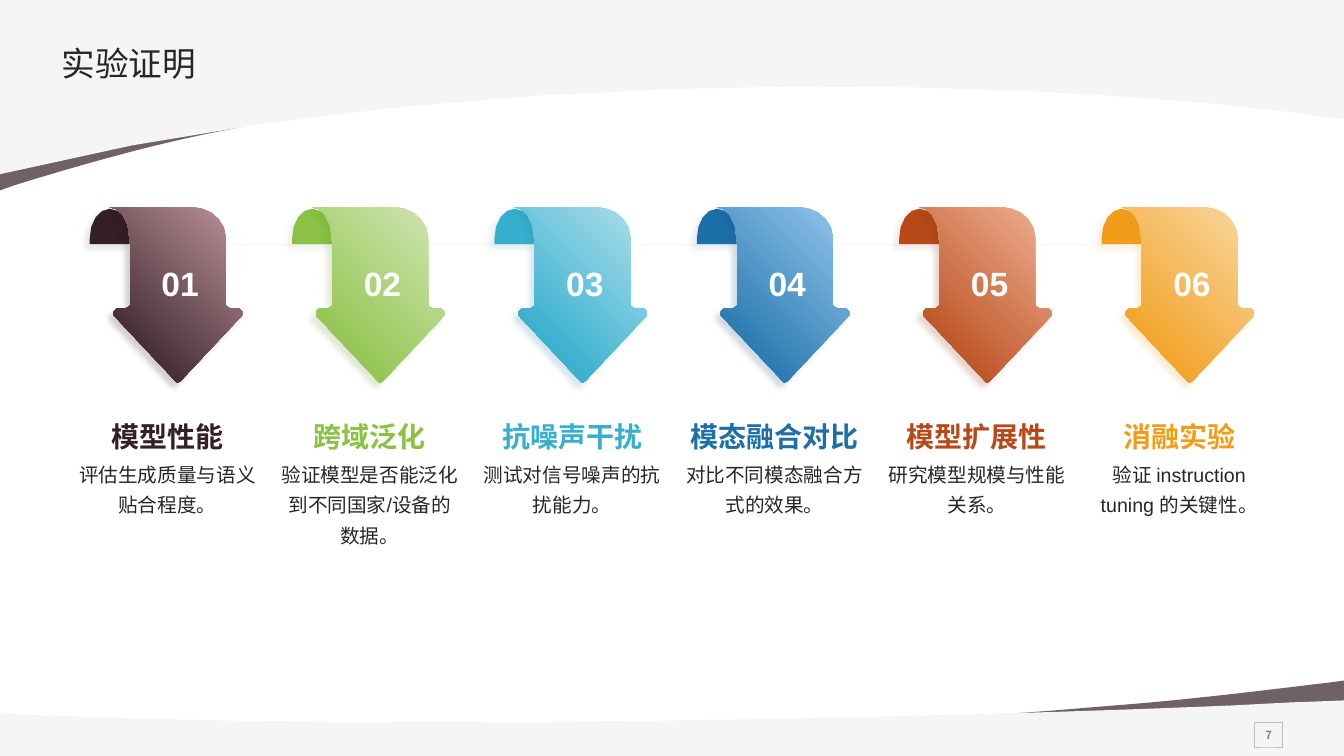
from lxml import etree
from pptx import Presentation
from pptx import util as u
from pptx.dml.color import RGBColor
from pptx.enum import shapes, text
from pptx.oxml.ns import qn

hue = RGBColor.from_string
CJK = "Noto Sans CJK SC"
LEFT, CENTER = text.PP_ALIGN.LEFT, text.PP_ALIGN.CENTER
TOP, MIDDLE, BOTTOM = text.MSO_ANCHOR.TOP, text.MSO_ANCHOR.MIDDLE, text.MSO_ANCHOR.BOTTOM


def write(shape, words, size, color, font="Arial", bold=False, align=CENTER,
          anchor=TOP, inset=(0, 0, 0, 0), wrap=True, spacing=1.0):
    """Fill a shape with one paragraph; inset is left, top, right, bottom in cm."""
    frame = shape.text_frame
    frame.word_wrap = wrap
    frame.auto_size = text.MSO_AUTO_SIZE.NONE
    frame.vertical_anchor = anchor
    (frame.margin_left, frame.margin_top,
     frame.margin_right, frame.margin_bottom) = [u.Cm(side) for side in inset]
    para = frame.paragraphs[0]
    para.alignment = align
    para.line_spacing = spacing
    span = para.add_run()
    span.text = words
    span.font.size = u.Pt(size)
    span.font.bold = bold
    span.font.color.rgb = hue(color)
    span.font.name = font
    etree.SubElement(span.font._element, qn("a:ea"), typeface=CJK)


def outline(path, color, shift=0, alpha=100, shadow=None, strength=0):
    """Draw a closed shape in cm: pairs are corners, sixes are Bézier curves."""
    points = []
    for step in path:
        if len(step) == 2:
            points.append(step)
            continue
        ends = [points[-1], step[:2], step[2:4], step[4:]]
        reach = max(abs(step[4] - ends[0][0]), abs(step[5] - ends[0][1]))
        count = 12 if reach > 3 else 4 if reach > 0.25 else 1
        for i in range(1, count + 1):
            t = i / count
            weights = ((1 - t) ** 3, 3 * t * (1 - t) ** 2, 3 * t * t * (1 - t), t ** 3)
            points.append([sum(w * end[axis] for w, end in zip(weights, ends))
                           for axis in (0, 1)])
    corners = [(u.Cm(x + shift), u.Cm(y)) for x, y in points]
    builder = page.shapes.build_freeform(*corners[0])
    builder.add_line_segments(corners[1:], close=True)
    shape = builder.convert_to_shape()
    shape.fill.solid()
    shape.fill.fore_color.rgb = hue(color)
    shape.line.fill.background()
    shape.shadow.inherit = False
    props = shape._element.spPr
    if alpha < 100:
        etree.SubElement(props.find(".//" + qn("a:srgbClr")), qn("a:alpha"), val=str(alpha * 1000))
    if shadow:
        cast = etree.SubElement(props.find(qn("a:effectLst")), qn("a:outerShdw"),
                                blurRad=str(u.Pt(4)), dist=str(u.Pt(5)), dir="8100000",
                                algn="tr", rotWithShape="0")
        tint = etree.SubElement(cast, qn("a:srgbClr"), val=shadow)
        etree.SubElement(tint, qn("a:alpha"), val=str(strength * 1000))
    return shape


deck = Presentation()
deck.slide_width, deck.slide_height = u.Cm(33.87), u.Cm(19.05)
page = deck.slides.add_slide(deck.slide_layouts[5])

# Curved bands at the top and bottom
outline([(0, 4.8), (0, 0.56), (33.87, 0.56), (33.87, 2.31),
         (26.21, 0.15, 13.06, 1.7, 5.44, 3.33), (3.91, 3.63, 2.18, 4.11, 0.36, 4.67)],
        "341F24", alpha=70)
outline([(0, 0), (33.87, 0), (33.87, 3.02), (28.96, 2.21, 13.13, 1.14, 0, 4.39)], "F5F5F5")
outline([(33.87, 17.15), (33.87, 18.9), (0, 18.9), (0, 18.16),
         (7.65, 19.05, 20.83, 18.42, 28.42, 17.75), (29.95, 17.63, 31.67, 17.42, 33.5, 17.2)],
        "341F24", alpha=70)
outline([(33.87, 17.65), (33.87, 19.05), (0, 19.05), (0, 17.98), (1.12, 18.03),
         (9.96, 18.39, 23.11, 18.11, 30.99, 17.78), (31.65, 17.75, 32.39, 17.7, 33.12, 17.68)],
        "F5F5F5")

number_box = page.shapes.add_shape(shapes.MSO_SHAPE.RECTANGLE, u.Cm(31.62), u.Cm(18.21),
                                   u.Cm(0.71), u.Cm(0.64))
number_box.fill.background()
number_box.line.color.rgb = hue("BFBFBF")
number_box.line.width = u.Pt(0.75)
number_box.shadow.inherit = False
write(number_box, "7", 8, "808080", font=CJK, bold=True, anchor=MIDDLE,
      inset=(0.2, 0.2, 0.2, 0.2), wrap=False)

title = page.shapes.title
title.left, title.top, title.width, title.height = u.Cm(1.35), u.Cm(0.99), u.Cm(30.48), u.Cm(1.47)
write(title, "实验证明", 24, "262626", font=CJK, align=LEFT, inset=(0.2, 0.2, 0, 0.2),
      wrap=False, spacing=0.9)
title._element.getparent().append(title._element)  # in front of the bands

thread = page.shapes.add_connector(shapes.MSO_CONNECTOR.STRAIGHT, u.Cm(4.78), u.Cm(6.17),
                                   u.Cm(28.22), u.Cm(6.17))
thread.line.color.rgb = hue("99A8BD")
thread.line.width = u.Pt(0.5)
thread_props = thread._element.spPr
etree.SubElement(thread_props.find(".//" + qn("a:srgbClr")), qn("a:alpha"), val="20000")
etree.SubElement(thread_props, qn("a:effectLst"))

# Outlines of the first ribbon arrow
CURL = [(2.77, 5.26), (3.07, 5.26, 3.3, 5.59, 3.3, 6.02), (3.3, 6.15), (2.26, 6.15),
        (2.26, 6.02), (2.26, 5.59, 2.49, 5.26, 2.77, 5.26)]
ARROW = [(2.77, 5.23), (4.9, 5.23), (5.08, 5.26), (5.41, 5.33, 5.69, 5.64, 5.69, 5.99),
         (5.69, 7.7), (5.69, 7.75, 5.72, 7.77, 5.79, 7.77),
         (6.02, 7.77), (6.05, 7.77, 6.1, 7.8, 6.1, 7.85), (6.12, 7.87, 6.12, 7.92, 6.1, 7.95),
         (4.55, 9.6), (4.55, 9.63, 4.52, 9.65, 4.47, 9.65), (4.45, 9.65, 4.42, 9.63, 4.42, 9.6),
         (2.87, 7.95), (2.84, 7.92, 2.84, 7.87, 2.87, 7.85), (2.87, 7.8, 2.92, 7.77, 2.95, 7.77),
         (3.18, 7.77), (3.25, 7.77, 3.28, 7.75, 3.28, 7.7),
         (3.28, 6.17), (3.28, 5.36, 2.92, 5.23, 2.77, 5.23)]
COLUMN_STEP = 5.1

# heading, description, colour, light end of gradient, curl shadow, arrow shadow, gradient stop
experiments = [
    ("模型性能", "评估生成质量与语义贴合程度。", "341F24", "BF949E", "27171B", "27171B", 0.9),
    ("跨域泛化", "验证模型是否能泛化到不同国家/设备的数据。", "8BC145", "D1E6B5", "699331", "699331", 0.9),
    ("抗噪声干扰", "测试对信号噪声的抗扰能力。", "36AFCE", "AFDFEB", "195869", "26859D", 0.8),
    ("模态融合对比", "对比不同模态融合方式的效果。", "1D6FA9", "94C8ED", "16537F", "16537F", 0.9),
    ("模型扩展性", "研究模型规模与性能关系。", "B74919", "F0B195", "893713", "893713", 0.9),
    ("消融实验", "验证 instruction tuning 的关键性。", "F19D19", "F9D8A3", "BC770B", "F19D19", 0.9),
]
for index, (heading, detail, color, light, curl_shade, arrow_shade, stop) in enumerate(experiments):
    shift = index * COLUMN_STEP
    left = u.Cm(1.96 + shift)
    detail_box = page.shapes.add_textbox(left, u.Cm(11.48), u.Cm(4.52), u.Cm(4.8))
    write(detail_box, detail, 14, "262626", spacing=1.3)
    heading_box = page.shapes.add_textbox(left, u.Cm(9.73), u.Cm(4.52), u.Cm(1.68))
    write(heading_box, heading, 20, color, bold=True, anchor=BOTTOM)

    outline(CURL, color, shift, shadow=curl_shade, strength=10)
    arrow = outline(ARROW, color, shift, shadow=arrow_shade, strength=20)
    arrow.fill.gradient()
    arrow.fill.gradient_angle = 225
    for gradient_stop, tone, position in zip(arrow.fill.gradient_stops, (light, color), (0, stop)):
        gradient_stop.color.rgb = hue(tone)
        gradient_stop.position = position
    write(arrow, f"{index + 1:02}", 24, "FFFFFF", bold=True, anchor=MIDDLE,
          inset=(0.51, 0.2, 0.3, 0.81), wrap=False)

deck.save("out.pptx")
